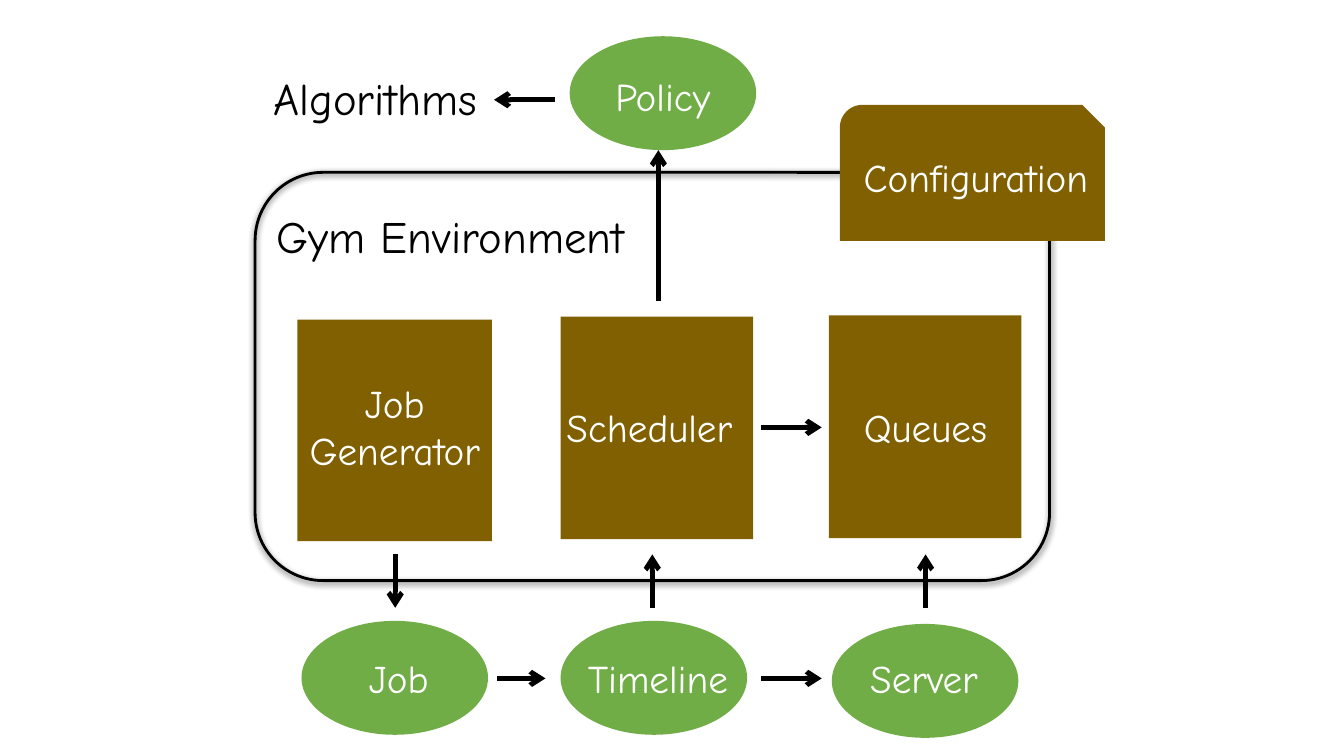
from dataclasses import dataclass

from lxml.etree import SubElement
from pptx import Presentation
from pptx.dml.color import RGBColor
from pptx.enum.shapes import MSO_CONNECTOR, MSO_SHAPE
from pptx.enum.text import MSO_AUTO_SIZE, PP_ALIGN
from pptx.oxml.ns import qn
from pptx.util import Emu, Pt

EMU_PER_PX = 9144  # 100 px to the inch


def px(length):
    return Emu(length * EMU_PER_PX)


@dataclass(frozen=True)
class Theme:
    font: str = "Comic Neue"
    ink: RGBColor = RGBColor(0x00, 0x00, 0x00)
    light: RGBColor = RGBColor(0xFF, 0xFF, 0xFF)
    component: RGBColor = RGBColor(0x80, 0x60, 0x00)
    entity: RGBColor = RGBColor(0x70, 0xAD, 0x47)
    label_size: float = 28
    heading_size: float = 32
    frame_width: float = 2
    arrow_width: float = 3.5


class Diagram:
    def __init__(self, page, theme):
        self.page = page
        self.theme = theme

    def frame(self, *place):
        """Unfilled rounded outline with a soft shadow below it."""
        outline = self.page.shapes.add_shape(MSO_SHAPE.ROUNDED_RECTANGLE, *map(px, place))
        outline.fill.background()
        outline.line.color.rgb = self.theme.ink
        outline.line.width = Pt(self.theme.frame_width)
        outline.shadow.inherit = False
        effects = outline._element.spPr.find(qn("a:effectLst"))
        shadow = SubElement(effects, qn("a:outerShdw"), blurRad=str(Pt(4.5)),
                            dist=str(Pt(1.5)), dir="5400000", rotWithShape="0")
        color = SubElement(shadow, qn("a:srgbClr"), val=str(self.theme.ink))
        SubElement(color, qn("a:alpha"), val="63000")

    def block(self, kind, place, fill):
        shape = self.page.shapes.add_shape(kind, *map(px, place))
        shape.shadow.inherit = False
        shape.fill.solid()
        shape.fill.fore_color.rgb = fill
        shape.line.fill.background()

    def label(self, text, place, *, size=None, color=None):
        """Centred text, one paragraph for each line."""
        box = self.page.shapes.add_textbox(*map(px, place))
        frame = box.text_frame
        frame.word_wrap = True
        frame.auto_size = MSO_AUTO_SIZE.SHAPE_TO_FIT_TEXT
        frame.text = text
        for para in frame.paragraphs:
            para.alignment = PP_ALIGN.CENTER
            for span in para.runs:
                span.font.name = self.theme.font
                span.font.size = Pt(size or self.theme.label_size)
                span.font.color.rgb = color or self.theme.light

    def heading(self, text, place):
        self.label(text, place, size=self.theme.heading_size, color=self.theme.ink)

    def arrow(self, start, end):
        line = self.page.shapes.add_connector(MSO_CONNECTOR.STRAIGHT, *map(px, start + end))
        line.line.color.rgb = self.theme.ink
        line.line.width = Pt(self.theme.arrow_width)
        SubElement(line.line._get_or_add_ln(), qn("a:tailEnd"), type="arrow")
        SubElement(line._element.spPr, qn("a:effectLst"))


def main():
    deck = Presentation()
    deck.slide_width, deck.slide_height = px(1333), px(750)
    blank_layout = deck.slide_layouts[6]
    theme = Theme()
    diagram = Diagram(deck.slides.add_slide(blank_layout), theme)

    diagram.frame(253, 171, 788, 405)
    diagram.block(MSO_SHAPE.SNIP_ROUND_RECTANGLE, (833, 104, 263, 135), theme.component)
    diagram.label("Configuration", (836, 147, 264, 57))

    components = [
        ("Job\nGenerator", (295, 317, 193, 220), (295, 371, 193, 104)),
        ("Scheduler", (556, 314, 191, 221), (541, 395, 206, 57)),
        ("Queues", (822, 313, 191, 221), (815, 395, 206, 57)),
    ]
    for text, place, text_place in components:
        diagram.block(MSO_SHAPE.RECTANGLE, place, theme.component)
        diagram.label(text, text_place)

    entities = [
        # text, ellipse left and top, label left and top
        ("Job", (299, 616), (299, 644)),
        ("Timeline", (556, 616), (556, 644)),
        ("Server", (825, 619), (820, 644)),
        ("Policy", (565, 36), (561, 67)),
    ]
    for text, corner, text_corner in entities:
        diagram.block(MSO_SHAPE.OVAL, corner + (185, 113), theme.entity)
        diagram.label(text, text_corner + (193, 57))

    diagram.heading("Algorithms", (253, 65, 239, 64))
    diagram.heading("Gym Environment", (140, 202, 614, 64))

    component_row, entity_row = 424, 673
    gap_top, gap_bottom = 550, 603
    arrows = [
        ((755, component_row), (815, component_row)),  # Scheduler to Queues
        ((493, entity_row), (541, entity_row)),        # Job to Timeline
        ((755, entity_row), (815, entity_row)),        # Timeline to Server
        ((392, gap_top), (392, gap_bottom)),           # Job Generator to Job
        ((647, gap_bottom), (647, gap_top)),           # Timeline to Scheduler
        ((918, gap_bottom), (918, gap_top)),           # Server to Queues
        ((653, 299), (653, 149)),                      # Scheduler to Policy
        ((550, 99), (490, 99)),                        # Policy to Algorithms
    ]
    for start, end in arrows:
        diagram.arrow(start, end)

    deck.save("out.pptx")


if __name__ == "__main__":
    main()
